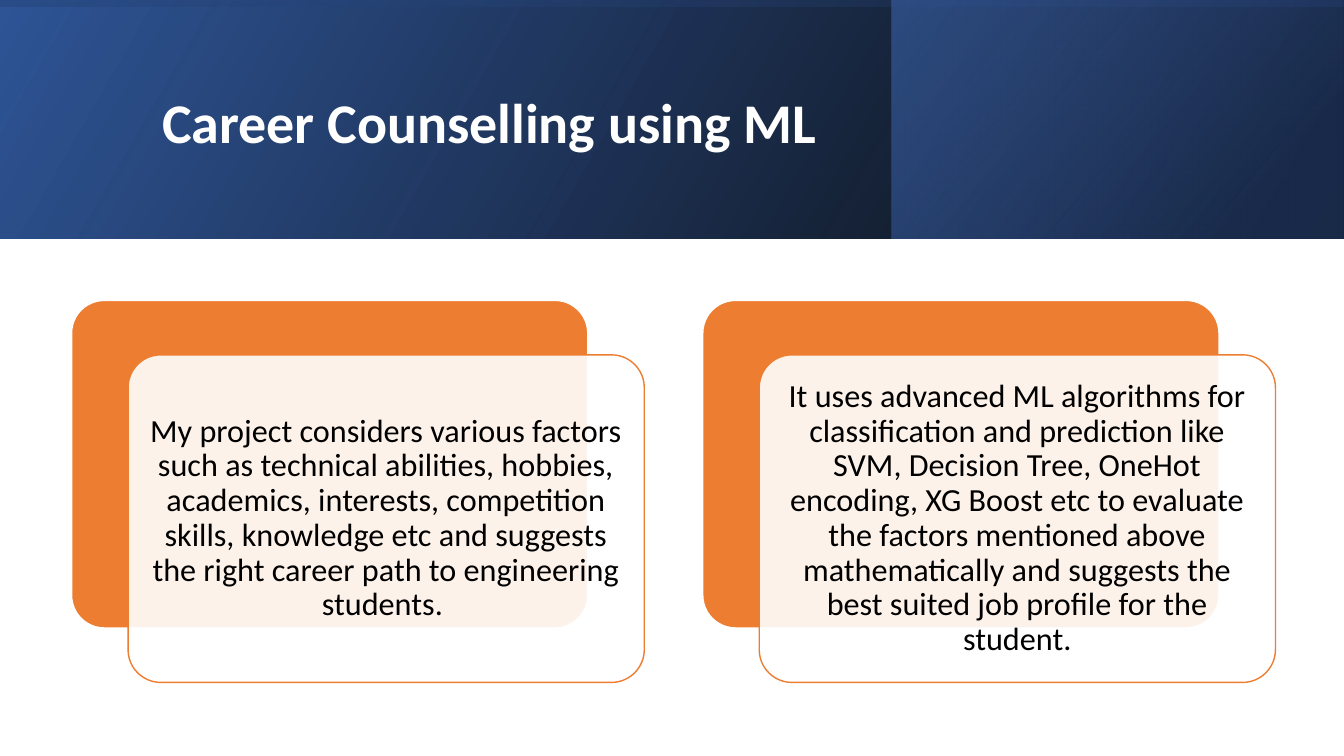
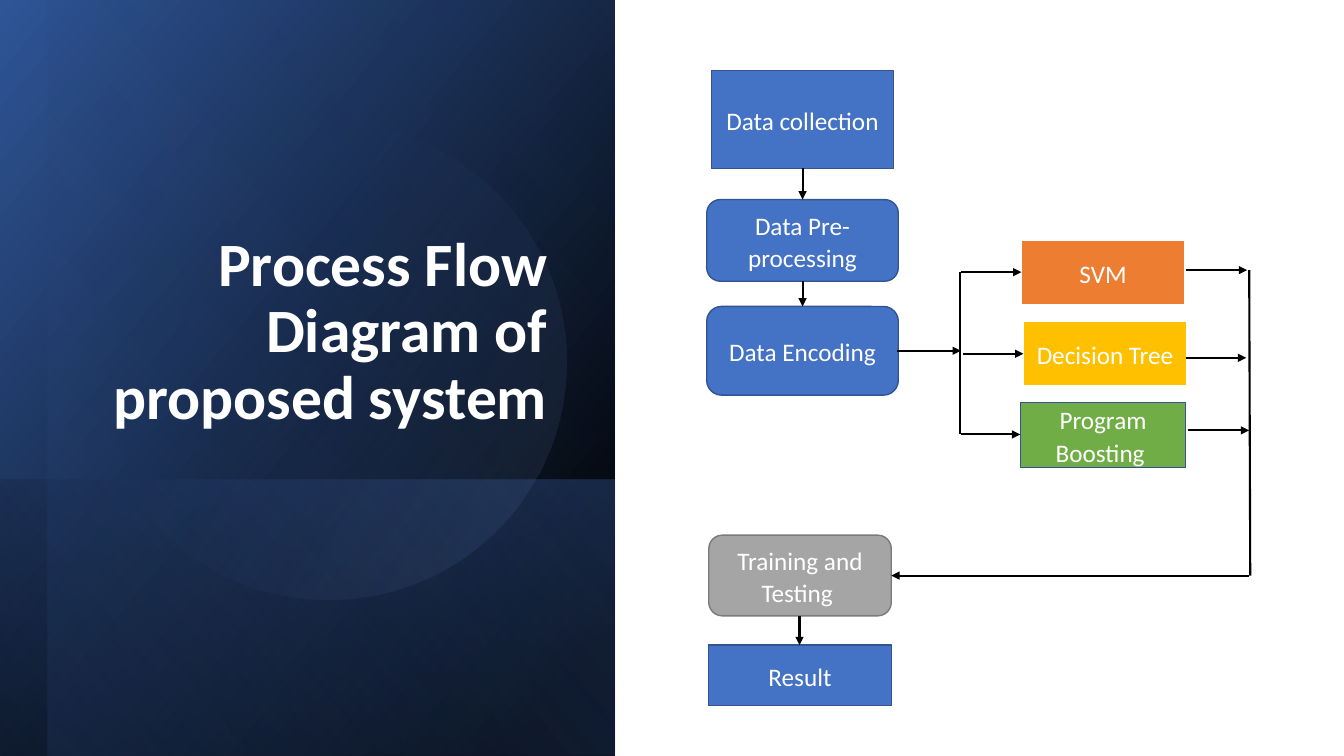
"""Build two slides on career counselling with machine learning."""
from lxml import etree
from pptx import Presentation
from pptx.dml.color import RGBColor
from pptx.enum.shapes import MSO_CONNECTOR, MSO_SHAPE
from pptx.enum.text import MSO_ANCHOR, PP_ALIGN
from pptx.oxml import parse_xml
from pptx.oxml.ns import nsdecls, qn
from pptx.util import Inches, Pt

RECTANGLE = MSO_SHAPE.RECTANGLE
ROUNDED = MSO_SHAPE.ROUNDED_RECTANGLE
OVAL = MSO_SHAPE.OVAL
STRAIGHT = MSO_CONNECTOR.STRAIGHT
LEFT, CENTER, RIGHT = PP_ALIGN.LEFT, PP_ALIGN.CENTER, PP_ALIGN.RIGHT
MIDDLE, BOTTOM = MSO_ANCHOR.MIDDLE, MSO_ANCHOR.BOTTOM

FONT = "Calibri"
COLORS = {
    "black": "000000", "white": "FFFFFF", "blue": "4472C4", "edge": "325491",
    "deep": "2F5597", "navy": "203864", "pale": "8FAADC", "orange": "ED7D31",
    "gold": "FFC000", "green": "70AD47", "gray": "A5A5A5", "gray edge": "7A7A7A",
}

COUNSELLING_TITLE = "Career Counselling using ML"
FLOW_TITLE = "Process Flow Diagram of proposed system"

# Each panel: kind, box, rotation, mirrored, gradient angle, stops (position, colour, opacity)
COUNSELLING_PANELS = [
    (RECTANGLE, (0, 0, 13.33, 2.37), 0, True, 330, [(0, "black", 96), (100, "deep", 100)]),
    (RECTANGLE, (8.84, 0, 4.48, 2.37), 0, True, 320, [(19, "navy", 68), (100, "blue", 48)]),
    (RECTANGLE, (5.48, -5.48, 2.37, 13.33), 270, True, 350,
     [(23, "deep", 16), (99, "black", 45)]),
]
FLOW_PANELS = [
    (RECTANGLE, (-0.7, 0.7, 7.5, 6.1), 90, True, 50, [(8, "black", 100), (100, "deep", 100)]),
    (RECTANGLE, (1.67, 3.08, 2.74, 6.1), 90, True, 130, [(2, "blue", 29), (100, "black", 30)]),
    (RECTANGLE, (-0.46, 0.93, 7.5, 5.63), 90, True, 130, [(0, "black", 0), (99, "blue", 11)]),
    (OVAL, (0.9, 1.23, 4.72, 4.72), 101.6, False, 290, [(39, "blue", 0), (100, "pale", 15)]),
]

CARDS = [
    "My project considers various factors such as technical abilities, hobbies, academics, "
    "interests, competition skills, knowledge etc and suggests the right career path to "
    "engineering students. ",
    "It uses advanced ML algorithms for classification and prediction like SVM, Decision Tree, "
    "OneHot encoding, XG Boost etc to evaluate the factors mentioned above mathematically and "
    "suggests the best suited job profile for the student.",
]
CARD_LEFT, CARD_TOP, CARD_STEP = 0.71, 2.98, 6.26
CARD_WIDTH, CARD_HEIGHT = 5.12, 3.25
CARD_SHIFT_X, CARD_SHIFT_Y, CARD_INSET = 0.56, 0.54, 0.1

STEPS = [
    ("Data collection", RECTANGLE, (7.06, 0.7, 1.8, 0.97), "blue", "edge", 1),
    ("Data Pre-processing", ROUNDED, (7.01, 1.98, 1.9, 0.81), "blue", "edge", 1),
    ("Data Encoding", ROUNDED, (7.01, 3.04, 1.9, 0.88), "blue", "edge", 1),
    ("SVM", RECTANGLE, (10.13, 2.38, 1.62, 0.65), "orange", "white", 1.5),
    ("Decision Tree", RECTANGLE, (10.15, 3.18, 1.62, 0.65), "gold", "white", 1.5),
    ("Program Boosting ", RECTANGLE, (10.12, 3.99, 1.64, 0.65), "green", "edge", 1),
    ("Training and Testing ", ROUNDED, (7.03, 5.31, 1.81, 0.8), "gray", "gray edge", 1),
    ("Result", RECTANGLE, (7.03, 6.4, 1.81, 0.6), "blue", "edge", 1),
]
ARROWS = [
    (7.96, 1.67, 7.96, 1.98), (7.96, 2.79, 7.96, 3.04), (7.93, 6.11, 7.93, 6.4),
    (8.9, 3.48, 9.53, 3.48),
    (9.53, 2.7, 10.13, 2.7), (9.55, 3.51, 10.15, 3.51), (9.53, 4.31, 10.12, 4.31),
    (11.76, 2.68, 12.37, 2.68), (11.76, 3.55, 12.36, 3.55), (11.78, 4.27, 12.39, 4.27),
    (12.39, 5.71, 8.84, 5.71),
]
BUSES = [(9.52, 2.7, 9.52, 4.31), (12.39, 2.68, 12.4, 5.71)]


def color(name):
    return RGBColor.from_string(COLORS[name])


def add_box(slide, kind, box, fill=None, line=None, line_width=1):
    shape = slide.shapes.add_shape(kind, *map(Inches, box))
    shape.shadow.inherit = False
    if fill:
        shape.fill.solid()
        shape.fill.fore_color.rgb = color(fill)
    if line:
        shape.line.color.rgb = color(line)
        shape.line.width = Pt(line_width)
    else:
        shape.line.fill.background()
    return shape


def add_panel(slide, kind, box, rotation, mirrored, angle, stops):
    shape = add_box(slide, kind, box)
    shape.rotation = rotation
    properties = shape._element.spPr
    if mirrored:
        properties.find(qn("a:xfrm")).set("flipH", "1")
    stop_xml = "".join(
        f'<a:gs pos="{position * 1000}"><a:srgbClr val="{COLORS[name]}">'
        f'<a:alpha val="{opacity * 1000}"/></a:srgbClr></a:gs>'
        for position, name, opacity in stops)
    gradient = parse_xml(
        f'<a:gradFill {nsdecls("a")} rotWithShape="1"><a:gsLst>{stop_xml}</a:gsLst>'
        f'<a:lin ang="{angle * 60000}" scaled="0"/></a:gradFill>')
    properties.find(qn("a:prstGeom")).addnext(gradient)


def write(shape, text, size, name, align=CENTER, anchor=MIDDLE, bold=False, spacing=0.9):
    frame = shape.text_frame
    frame.word_wrap = True
    frame.vertical_anchor = anchor
    paragraph = frame.paragraphs[0]
    paragraph.alignment = align
    paragraph.line_spacing = spacing
    run = paragraph.add_run()
    run.text = text
    run.font.name = FONT
    run.font.size = Pt(size)
    run.font.bold = bold
    run.font.color.rgb = color(name)
    return frame


def add_text(slide, box, *args, **kwargs):
    return write(slide.shapes.add_textbox(*map(Inches, box)), *args, **kwargs)


def add_line(slide, ends, arrow):
    connector = slide.shapes.add_connector(STRAIGHT, *map(Inches, ends))
    connector.line.color.rgb = color("black")
    connector.line.width = Pt(1.5)
    if arrow:
        etree.SubElement(connector.line._get_or_add_ln(), qn("a:tailEnd"), type="triangle")
    etree.SubElement(connector._element.spPr, qn("a:effectLst"))


def start_slide(presentation, panels, title, box, size, align, anchor):
    slide = presentation.slides.add_slide(presentation.slide_layouts[6])
    for panel in panels:
        add_panel(slide, *panel)
    add_text(slide, box, title, size, "white", align, anchor, bold=True)
    return slide


def add_card(slide, left, text):
    size = (CARD_WIDTH, CARD_HEIGHT)
    front_left, front_top = left + CARD_SHIFT_X, CARD_TOP + CARD_SHIFT_Y
    back = add_box(slide, ROUNDED, (left, CARD_TOP, *size), "orange", "white")
    front = add_box(slide, ROUNDED, (front_left, front_top, *size), "white", "orange")
    for shape in (back, front):
        shape.adjustments[0] = 0.1
    fill_color = front._element.spPr.find(qn("a:solidFill"))[0]
    etree.SubElement(fill_color, qn("a:alpha"), val="90000")
    text_box = (front_left + CARD_INSET, front_top + CARD_INSET,
                CARD_WIDTH - 2 * CARD_INSET, CARD_HEIGHT - 2 * CARD_INSET)
    frame = add_text(slide, text_box, text, 23, "black")
    frame.margin_top = frame.margin_bottom = Inches(0.1)


def build_counselling(presentation):
    slide = start_slide(presentation, COUNSELLING_PANELS, COUNSELLING_TITLE,
                        (1.51, 0.38, 10.63, 1.72), 40, LEFT, MIDDLE)
    for index, text in enumerate(CARDS):
        add_card(slide, CARD_LEFT + index * CARD_STEP, text)


def build_flow(presentation):
    slide = start_slide(presentation, FLOW_PANELS, FLOW_TITLE,
                        (0.9, 0.64, 4.63, 3.7), 44, RIGHT, BOTTOM)
    for text, kind, box, fill, line, line_width in STEPS:
        shape = add_box(slide, kind, box, fill, line, line_width)
        frame = write(shape, text, 18, "white", spacing=1.07)
        frame.paragraphs[0].space_after = Pt(8)
    for lines, arrow in ((BUSES, False), (ARROWS, True)):
        for ends in lines:
            add_line(slide, ends, arrow)


def main():
    presentation = Presentation()
    presentation.slide_width = Inches(13.33)
    presentation.slide_height = Inches(7.5)
    build_counselling(presentation)
    build_flow(presentation)
    presentation.save("out.pptx")


if __name__ == "__main__":
    main()
